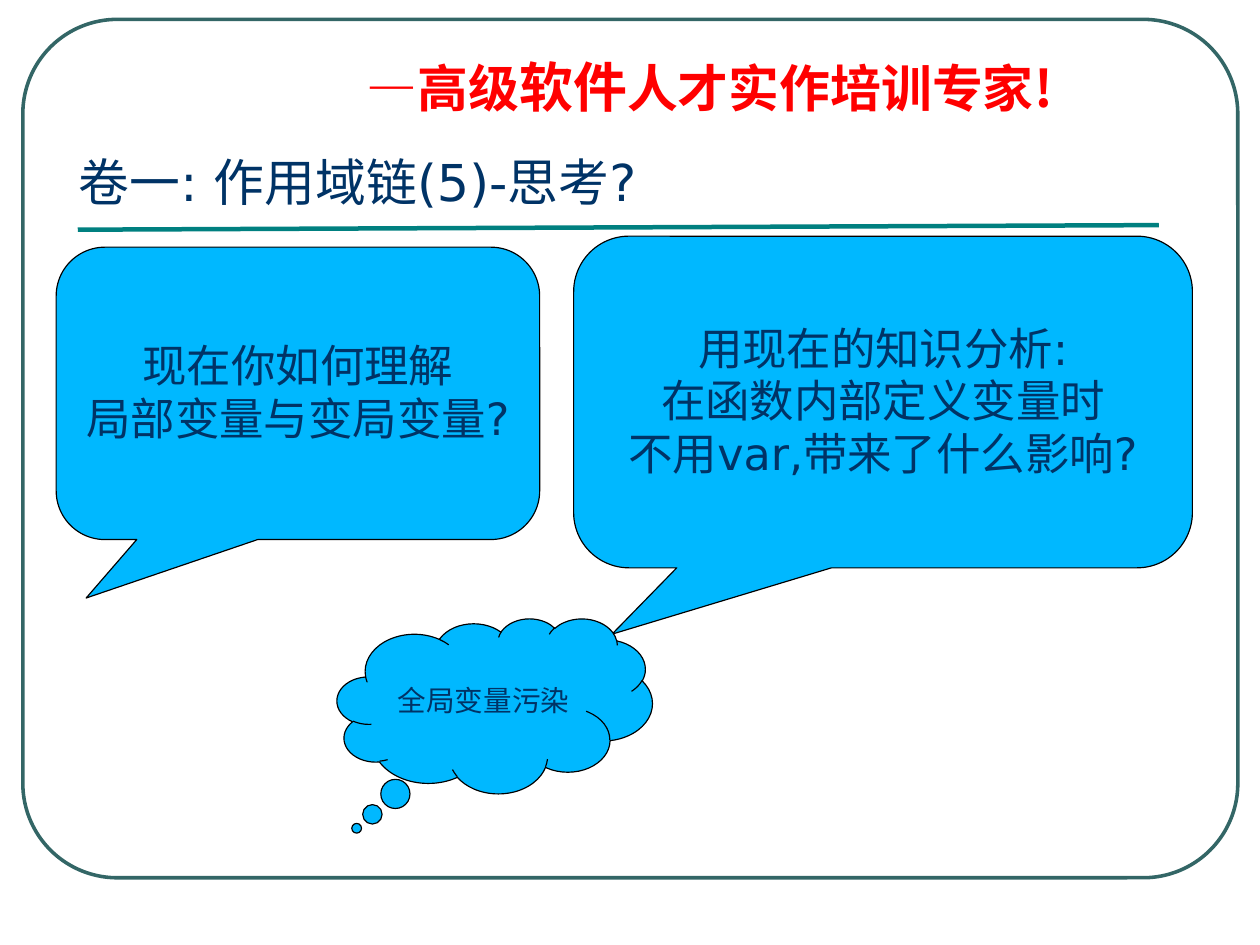
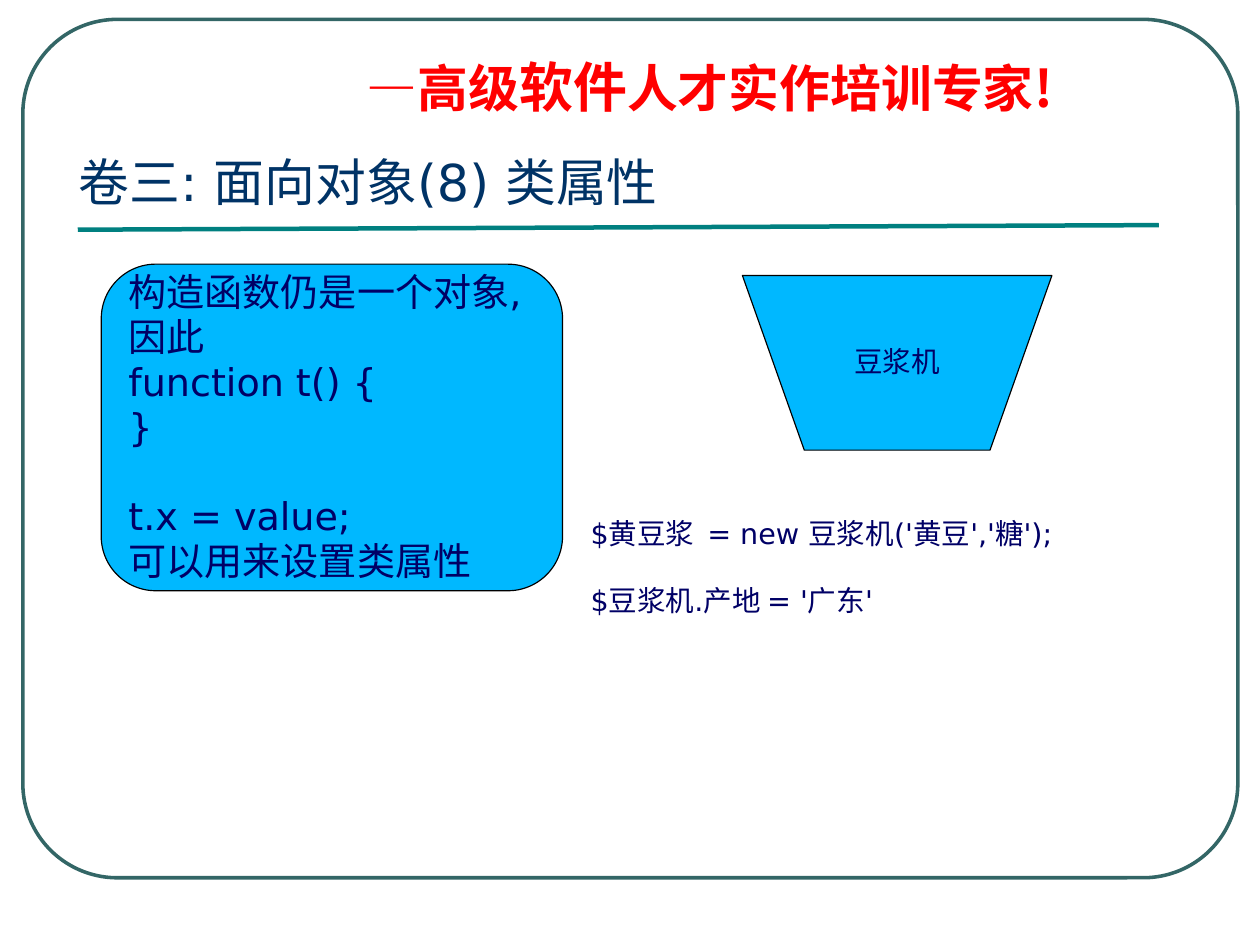
from dataclasses import dataclass
from typing import Optional

from lxml import etree
from pptx import Presentation
from pptx.dml.color import RGBColor
from pptx.enum.shapes import MSO_CONNECTOR, MSO_SHAPE
from pptx.enum.text import MSO_ANCHOR, MSO_AUTO_SIZE, PP_ALIGN
from pptx.oxml.ns import qn
from pptx.util import Pt

# Constants
COLORS = {
    "banner": "FF0000",
    "frame": "336666",
    "rule": "008080",
    "title": "003366",
    "code": "000066",
    "fill": "00B8FF",
    "outline": "000000",
}
LATIN_FONT = "DejaVu Sans"
CHINESE_FONT = "Noto Sans CJK SC"
SLIDE_WIDTH, SLIDE_HEIGHT = 793.75, 595.25
LINE_SPACING = 0.98

LEFT, CENTER = PP_ALIGN.LEFT, PP_ALIGN.CENTER
TOP, MIDDLE = MSO_ANCHOR.TOP, MSO_ANCHOR.MIDDLE
ROUND_RECTANGLE = MSO_SHAPE.ROUNDED_RECTANGLE
ROUND_CALLOUT = MSO_SHAPE.ROUNDED_RECTANGULAR_CALLOUT
CLOUD_CALLOUT = MSO_SHAPE.CLOUD_CALLOUT
MANUAL_OPERATION = MSO_SHAPE.FLOWCHART_MANUAL_OPERATION
STRAIGHT = MSO_CONNECTOR.STRAIGHT
TAIL = (-0.438, 0.7)
CORNER = 0.167


@dataclass(frozen=True)
class Box:
    left: float
    top: float
    width: float
    height: float

    def lengths(self) -> tuple:
        return Pt(self.left), Pt(self.top), Pt(self.width), Pt(self.height)


@dataclass(frozen=True)
class Run:
    text: str
    size: float
    color: str
    font: str = LATIN_FONT
    bold: bool = False


@dataclass(frozen=True)
class Line:
    runs: tuple[Run, ...]
    space_before: float = 0


@dataclass(frozen=True)
class Block:
    """A text box, or a filled shape when a kind is given."""
    box: Box
    lines: tuple[Line, ...]
    kind: Optional[MSO_SHAPE] = None
    adjustments: tuple[float, ...] = ()
    align: PP_ALIGN = CENTER
    anchor: MSO_ANCHOR = MIDDLE
    spacing: float = LINE_SPACING


def text_lines(size: float, color: str, *texts: str,
               gaps: Optional[dict[int, float]] = None) -> tuple[Line, ...]:
    """One line per text; gaps gives the space before a line by its index."""
    return tuple(Line((Run(text, size, color),), (gaps or {}).get(index, 0))
                 for index, text in enumerate(texts))


def rgb(name: str) -> RGBColor:
    return RGBColor.from_string(COLORS[name])


def add_run(paragraph, item: Run) -> None:
    run = paragraph.add_run()
    run.text = item.text
    run.font.size = Pt(item.size)
    run.font.bold = item.bold
    run.font.color.rgb = rgb(item.color)
    run.font.name = item.font
    east_asian = etree.SubElement(run.font._element, qn("a:ea"))
    east_asian.set("typeface", CHINESE_FONT)


def add_block(slide, block: Block) -> None:
    if block.kind is None:
        shape = slide.shapes.add_textbox(*block.box.lengths())
    else:
        shape = slide.shapes.add_shape(block.kind, *block.box.lengths())
        shape.shadow.inherit = False
        shape.fill.solid()
        shape.fill.fore_color.rgb = rgb("fill")
        shape.line.color.rgb = rgb("outline")
        shape.line.width = Pt(0.75)
        for index, value in enumerate(block.adjustments):
            shape.adjustments[index] = value
    frame = shape.text_frame
    frame.word_wrap = block.kind is None
    frame.auto_size = MSO_AUTO_SIZE.NONE
    frame.vertical_anchor = block.anchor
    for index, line in enumerate(block.lines):
        paragraph = frame.add_paragraph() if index else frame.paragraphs[0]
        paragraph.alignment = block.align
        paragraph.line_spacing = block.spacing
        paragraph.space_before = Pt(line.space_before)
        for item in line.runs:
            add_run(paragraph, item)


# Shared parts
BANNER = Block(
    Box(224, 34.6, 496, 44),
    (Line(tuple(Run(text, size, "banner", CHINESE_FONT, True)
                for text, size in (("—高级", 32), ("软件", 34), ("人才实作培训专家!", 32))), 8.2),),
    align=LEFT, anchor=TOP, spacing=0.9)
FRAME = Box(14.4, 12.2, 765.4, 540.7)
TITLE = Box(42.5, 89.2, 560, 53.3)


def add_base(slide, title: str) -> None:
    add_block(slide, BANNER)
    frame = slide.shapes.add_shape(ROUND_RECTANGLE, *FRAME.lengths())
    frame.shadow.inherit = False
    frame.adjustments[0] = 0.11
    frame.fill.background()
    frame.line.color.rgb = rgb("frame")
    frame.line.width = Pt(2.25)
    rule = slide.shapes.add_connector(STRAIGHT, Pt(49), Pt(144.7), Pt(730), Pt(141.8))
    rule.line.color.rgb = rgb("rule")
    rule.line.width = Pt(2.83)
    etree.SubElement(rule._element.spPr, qn("a:effectLst"))
    add_block(slide, Block(TITLE, text_lines(32, "title", title), align=LEFT))


# Slide contents
SLIDES = {
    "卷一: 作用域链(5)-思考?": (
        Block(Box(35.4, 155.7, 304.6, 184.2),
              text_lines(28, "title", "现在你如何理解", "局部变量与变局变量?"),
              ROUND_CALLOUT, (*TAIL, CORNER)),
        Block(Box(361.4, 148.8, 389.8, 208.9),
              text_lines(28, "title", "用现在的知识分析:", "在函数内部定义变量时",
                         "不用var,带来了什么影响?"),
              ROUND_CALLOUT, (*TAIL, CORNER)),
        Block(Box(212.4, 389.5, 198.6, 110.2),
              text_lines(18, "title", "全局变量污染"), CLOUD_CALLOUT, TAIL),
    ),
    "卷三: 面向对象(8) 类属性": (
        Block(Box(63.8, 166.4, 290.6, 205.7),
              text_lines(24, "code", "构造函数仍是一个对象,", "因此", "function t() {", "}",
                         "t.x = value;", "可以用来设置类属性", gaps={4: 28}),
              ROUND_RECTANGLE, (CORNER,), align=LEFT),
        Block(Box(467.7, 173.5, 195, 110),
              text_lines(18, "code", "豆浆机"), MANUAL_OPERATION),
        Block(Box(365, 322.4, 393, 70.6),
              text_lines(18, "code", "$黄豆浆  = new 豆浆机('黄豆','糖');",
                         "$豆浆机.产地 = '广东'", gaps={1: 21}),
              align=LEFT, anchor=TOP),
    ),
}


def main() -> None:
    presentation = Presentation()
    presentation.slide_width = Pt(SLIDE_WIDTH)
    presentation.slide_height = Pt(SLIDE_HEIGHT)
    blank_layout = presentation.slide_layouts[6]
    for title, blocks in SLIDES.items():
        slide = presentation.slides.add_slide(blank_layout)
        add_base(slide, title)
        for block in blocks:
            add_block(slide, block)
    presentation.save("out.pptx")


if __name__ == "__main__":
    main()
